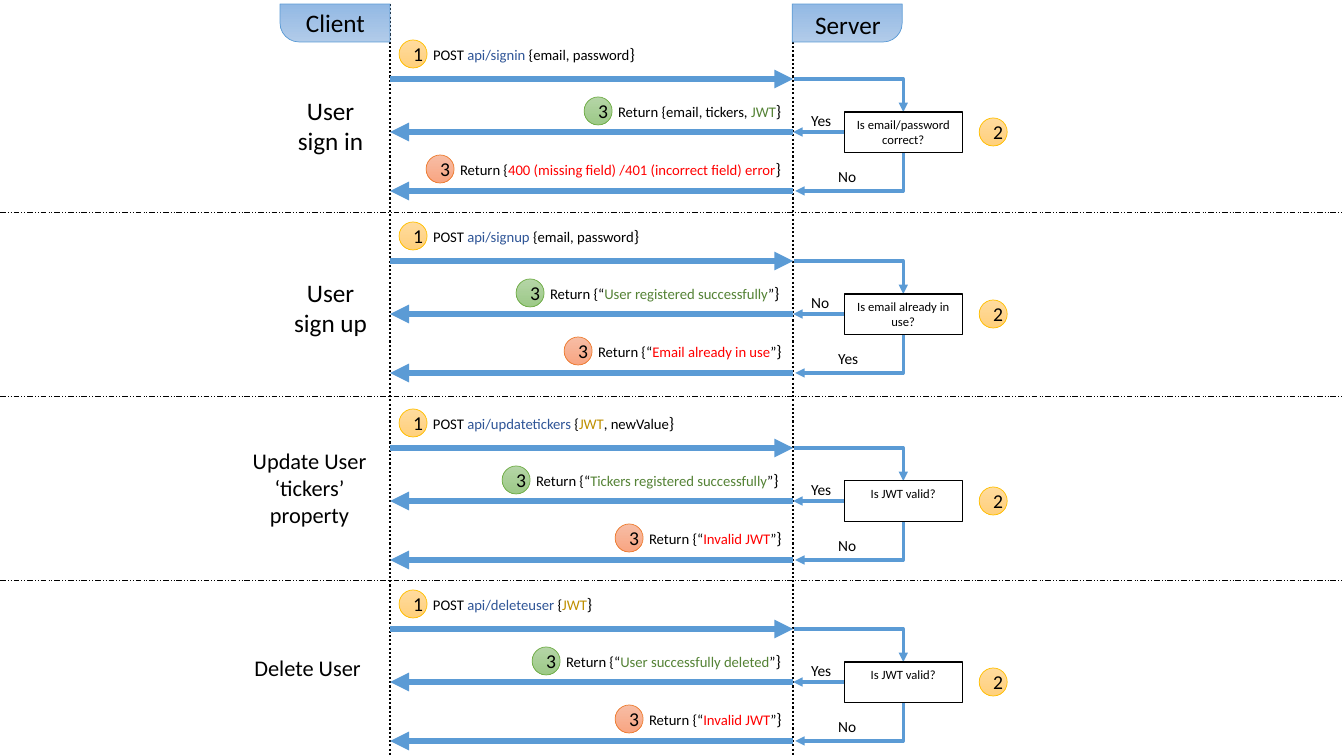
from lxml import etree
from pptx import Presentation
from pptx import util as u
from pptx.dml.color import RGBColor
from pptx.enum import dml, shapes, text
from pptx.oxml import ns

SCALE = 914400 / 100.8
FONT = "Calibri"
BLACK = RGBColor(0x00, 0x00, 0x00)
BLUE = RGBColor(0x5B, 0x9B, 0xD5)
NAVY = RGBColor(0x2F, 0x55, 0x97)
GREEN = RGBColor(0x54, 0x82, 0x35)
RED = RGBColor(0xFF, 0x00, 0x00)
GOLD = RGBColor(0xBF, 0x90, 0x00)
# Gradient start, gradient end, outline
HEADER_COLOURS = (RGBColor(0xB1, 0xCB, 0xE9), RGBColor(0x93, 0xB9, 0xE4), BLUE)
REQUEST_COLOURS = (RGBColor(0xFF, 0xDB, 0x9E), RGBColor(0xFF, 0xD0, 0x7C), RGBColor(0xFF, 0xC0, 0x00))
SUCCESS_COLOURS = (RGBColor(0xB5, 0xD5, 0xA7), RGBColor(0x9C, 0xC9, 0x87), RGBColor(0x70, 0xAD, 0x47))
ERROR_COLOURS = (RGBColor(0xF7, 0xBD, 0xA5), RGBColor(0xF8, 0xA5, 0x82), RGBColor(0xED, 0x7D, 0x31))

CLIENT_X, SERVER_X, DECISION_X, TURN_X = 390, 793, 844, 903
BADGE = 28

presentation = Presentation()
presentation.slide_width = u.Inches(13.33)
presentation.slide_height = u.Inches(7.5)
slide = presentation.slides.add_slide(presentation.slide_layouts[6])


def add_text(box, runs, size=None, colours=None, preset=None, centred=False):
    """Add a text box, or a preset shape with gradient or plain outline, holding coloured runs."""
    bounds = [u.Emu(round(value * SCALE)) for value in box]
    if preset is None:
        shape = slide.shapes.add_textbox(*bounds)
    else:
        shape = slide.shapes.add_shape(preset, *bounds)
        shape.shadow.inherit = False
        shape.line.width = u.Pt(0.5 if colours else 0.75)
        shape.line.color.rgb = colours[2] if colours else BLACK
        if colours:
            shape.fill.gradient()
            shape.fill.gradient_angle = 270
            for stop, colour in zip(shape.fill.gradient_stops, colours):
                stop.color.rgb = colour
        else:
            shape.fill.background()
    shape.text_frame.word_wrap = True
    paragraph = shape.text_frame.paragraphs[0]
    paragraph.alignment = text.PP_ALIGN.CENTER if centred else text.PP_ALIGN.LEFT
    paragraph.font.name = FONT
    if size:
        paragraph.font.size = u.Pt(size)
    for words, colour in runs:
        run = paragraph.add_run()
        run.text = words
        run.font.color.rgb = colour
    return shape


def add_line(start, end, width, colour=BLUE, dash=None, bent=False):
    """Add a dashed line, or an arrow when no dash is given."""
    kind = shapes.MSO_CONNECTOR.ELBOW if bent else shapes.MSO_CONNECTOR.STRAIGHT
    connector = slide.shapes.add_connector(
        kind, *[u.Emu(round(value * SCALE)) for value in (*start, *end)])
    connector.line.width = u.Pt(width)
    connector.line.color.rgb = colour
    if dash:
        connector.line.dash_style = dash
    else:
        etree.SubElement(connector.line._get_or_add_ln(), ns.qn("a:tailEnd"), type="triangle")
    properties = connector._element.spPr
    etree.SubElement(properties, ns.qn("a:effectLst"))
    if bent:
        properties.find(ns.qn("a:prstGeom")).set("prst", "bentConnector2")
    return connector


# Lifelines and their headers
for line_x, header_x, flip_horizontal, label_box, label in (
    (CLIENT_X, 280, "1", (296, 2, 95, 40), "Client"),
    (SERVER_X, 792, "0", (805, 4, 97, 40), "Server"),
):
    add_line((line_x, 4), (line_x, 756), 1.5, BLACK, dml.MSO_LINE.ROUND_DOT)
    header = add_text((header_x, 4, 110, 38), [], colours=HEADER_COLOURS,
                      preset=shapes.MSO_SHAPE.ROUND_1_RECTANGLE)
    header.adjustments[0] = 0.5
    transform = header._element.spPr.find(ns.qn("a:xfrm"))
    transform.set("flipH", flip_horizontal)
    transform.set("flipV", "1")
    add_text(label_box, [(label, BLACK)], 18)

# Each flow: request y, title (text, size, box from request y), question, branch labels,
# then (badge x, text width, runs) for request, success and error; "}" closes every message
RETURN_QUOTE = ("Return {“", BLACK)
END_QUOTE = ("”", BLACK)
INVALID_JWT = (615, 219, [RETURN_QUOTE, ("Invalid JWT", RED), END_QUOTE])
flows = [
    (79, ("User sign in", 18, (283, 11, 95, 72)), "Is email/password correct?", ("Yes", "No"), [
        (399, 236, [("POST ", BLACK), ("api/signin ", NAVY), ("{email, password", BLACK)]),
        (584, 203, [("Return {email, tickers, ", BLACK), ("JWT", GREEN)]),
        (426, 350, [("Return {", BLACK),
                    ("400 (missing field) /401 (incorrect field) error", RED)])]),
    (261, ("User sign up", 18, (283, 11, 95, 72)), "Is email already in use?", ("No", "Yes"), [
        (399, 236, [("POST ", BLACK), ("api/signup ", NAVY), ("{email, password", BLACK)]),
        (516, 268, [RETURN_QUOTE, ("User registered successfully", GREEN), END_QUOTE]),
        (564, 219, [RETURN_QUOTE, ("Email already in use", RED), END_QUOTE])]),
    (448, ("Update User ‘tickers’ property", 16, (229, -6, 161, 92)), "Is JWT valid?", ("Yes", "No"), [
        (399, 312, [("POST ", BLACK), ("api/updatetickers ", NAVY), ("{", BLACK),
                    ("JWT", GOLD), (", newValue", BLACK)]),
        (502, 268, [RETURN_QUOTE, ("Tickers registered successfully", GREEN), END_QUOTE]),
        INVALID_JWT]),
    (629, ("Delete User", 16, (227, 20, 161, 37)), "Is JWT valid?", ("Yes", "No"), [
        (399, 312, [("POST ", BLACK), ("api/deleteuser ", NAVY), ("{", BLACK), ("JWT", GOLD)]),
        (532, 268, [RETURN_QUOTE, ("User successfully deleted", GREEN), END_QUOTE]),
        INVALID_JWT]),
]
# Badge offset from request y, number, colours
steps = [(-39, "1", REQUEST_COLOURS), (18, "3", SUCCESS_COLOURS), (76, "3", ERROR_COLOURS)]

for y, (title, title_size, (left, top, width, height)), question, branches, messages in flows:
    success_y, error_y = y + 53, y + 112
    decision_top, decision_bottom = y + 33, y + 74
    add_text((left, y + top, width, height), [(title, BLACK)], title_size, centred=True)

    # Messages between client and server
    add_line((CLIENT_X, y), (SERVER_X, y), 4.5)
    for return_y in (success_y, error_y):
        add_line((SERVER_X, return_y), (CLIENT_X, return_y), 4.5)

    # Server decision and its branches
    add_line((SERVER_X + 1, y), (TURN_X, decision_top), 2.25, bent=True)
    add_text((DECISION_X, decision_top, 118, 41), [(question, BLACK)], 9,
             preset=shapes.MSO_SHAPE.RECTANGLE, centred=True
             ).text_frame.vertical_anchor = text.MSO_ANCHOR.TOP
    add_line((DECISION_X, success_y), (SERVER_X, success_y), 2.25)
    # A quarter turn about its centre makes this one run down, then left
    run, drop = TURN_X - SERVER_X - 2, error_y - decision_bottom
    middle_x, middle_y = TURN_X - run / 2, decision_bottom + drop / 2
    error_branch = add_line((middle_x - drop / 2, middle_y - run / 2),
                            (middle_x + drop / 2, middle_y + run / 2), 2.25, bent=True)
    error_branch._element.spPr.find(ns.qn("a:xfrm")).set("rot", "5400000")
    for branch, branch_x, offset in zip(branches, (801, 828), (27, 83)):
        add_text((branch_x, y + offset, 46, 29), [(branch, BLACK)], 11)

    # Numbered badges and message wording
    badges = [(979, y + 39, "2", REQUEST_COLOURS)]
    for (badge_x, width, runs), (offset, number, colours) in zip(messages, steps):
        badges.append((badge_x, y + offset, number, colours))
        message = add_text((badge_x + 24, y + offset - 1, width, 30), runs + [("}", BLACK)])
        *words, brace = message.text_frame.paragraphs[0].runs
        for word in words:
            word.font.size = u.Pt(10.5)
        brace.font.size = u.Pt(12)
    for badge_x, badge_y, number, colours in badges:
        add_text((badge_x, badge_y, BADGE, BADGE), [(number, BLACK)], 14, colours,
                 shapes.MSO_SHAPE.OVAL, centred=True)

# Separators between flows
for separator_y in (212, 396, 580):
    add_line((0, separator_y), (1343, separator_y), 0.5, BLACK, dml.MSO_LINE.DASH_DOT_DOT)

presentation.save("out.pptx")
